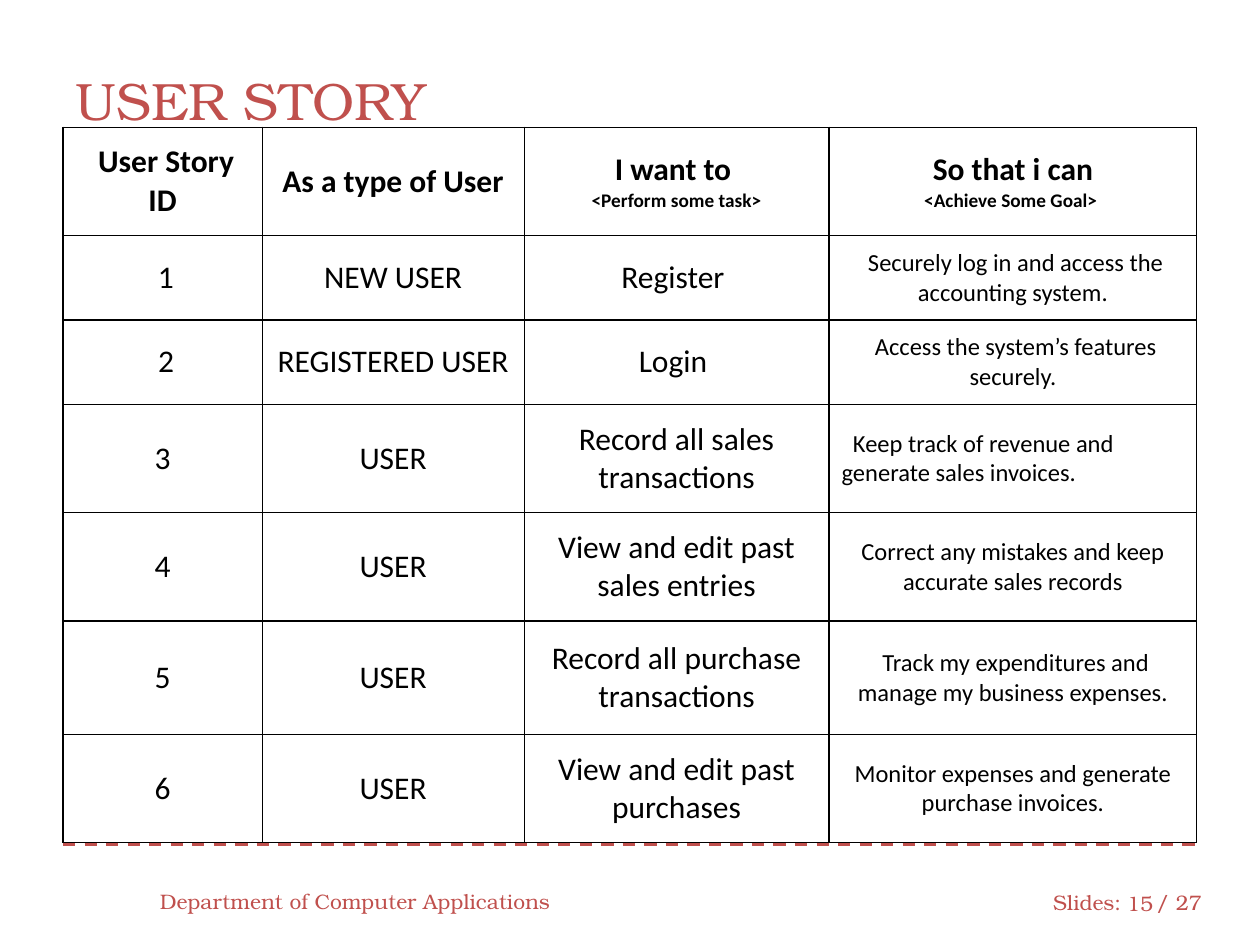
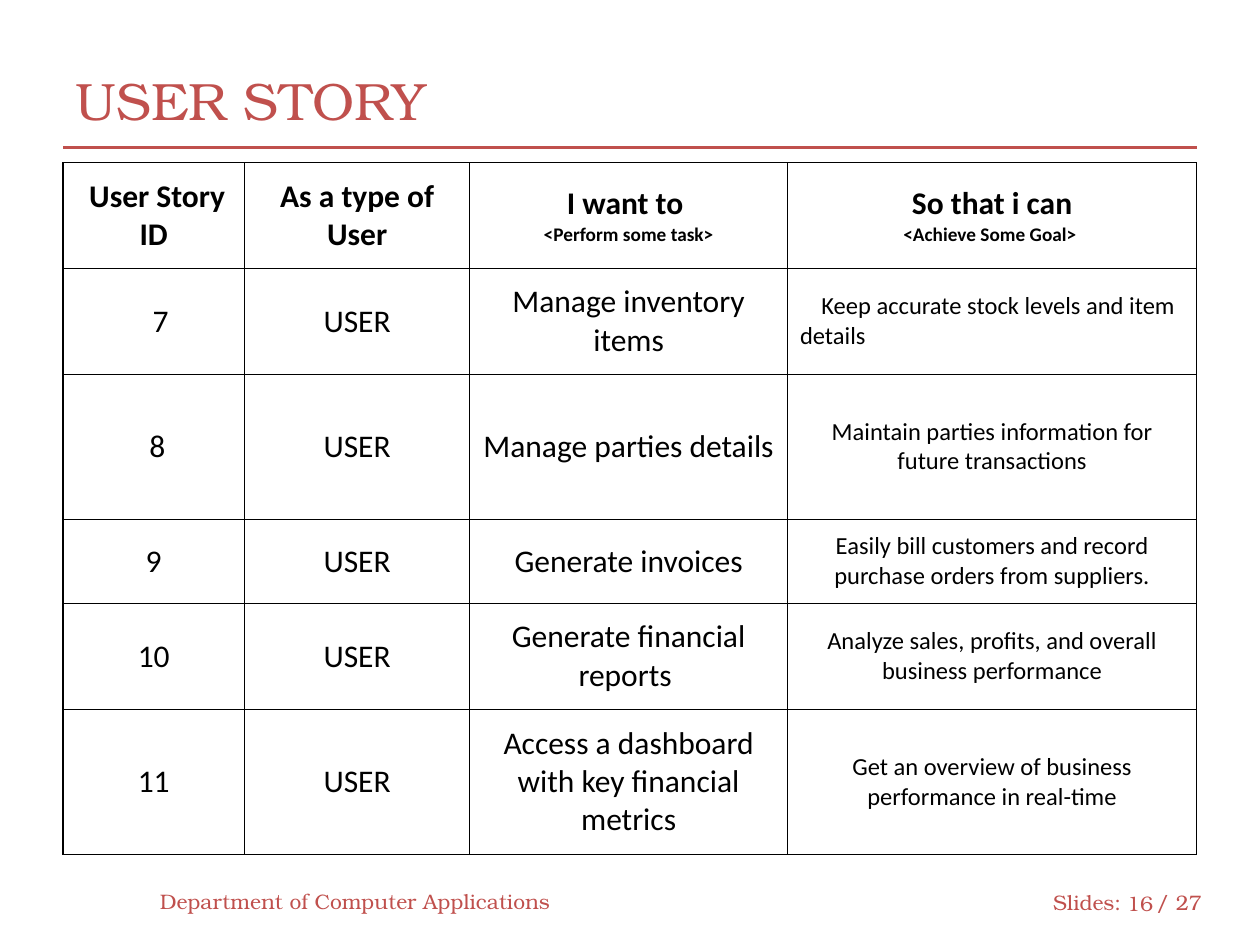
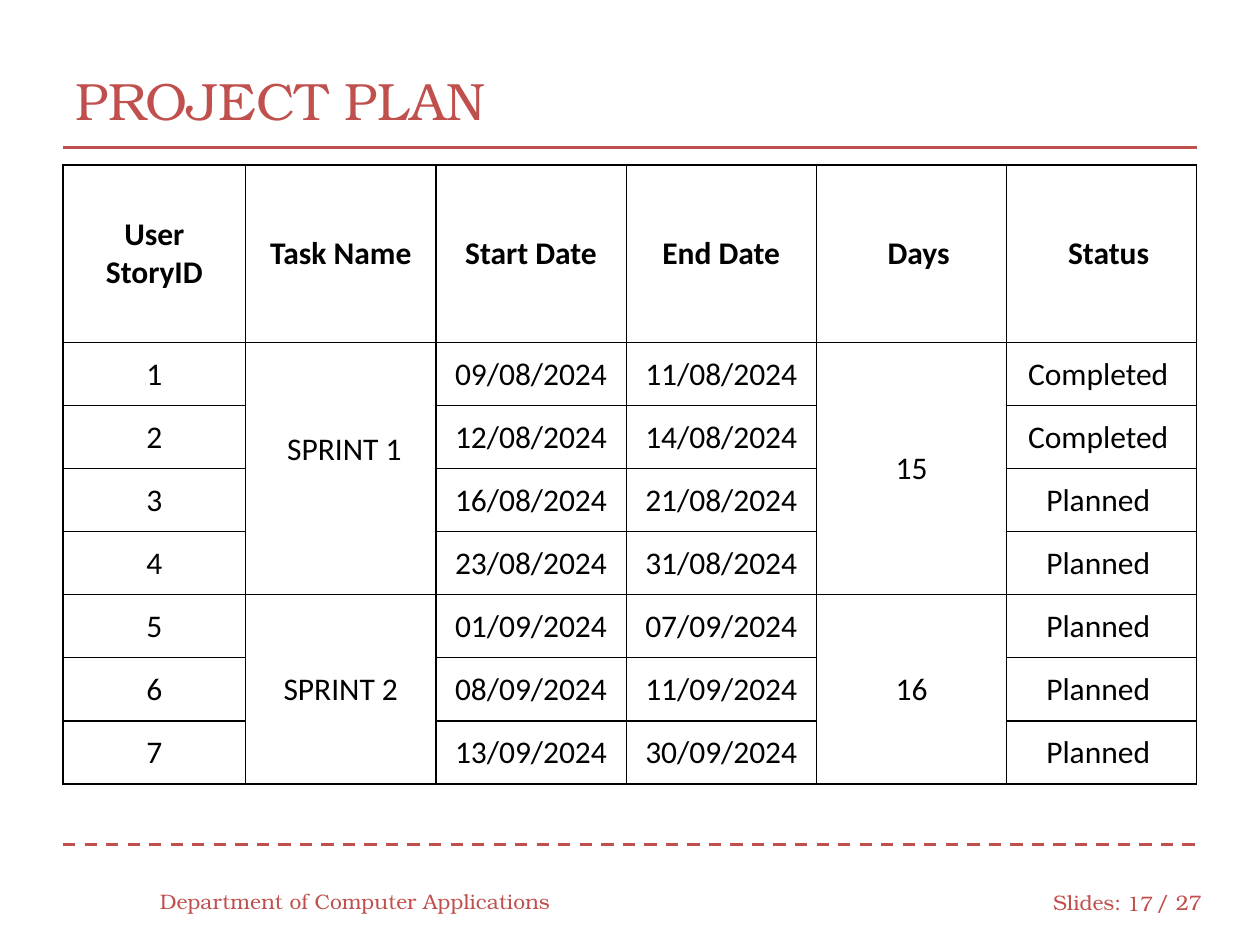
from lxml import etree
from pptx import Presentation
from pptx.dml.color import RGBColor
from pptx.enum.dml import MSO_LINE
from pptx.enum.shapes import MSO_CONNECTOR
from pptx.enum.text import MSO_ANCHOR, PP_ALIGN
from pptx.oxml.ns import qn
from pptx.util import Inches, Pt

STRAIGHT = MSO_CONNECTOR.STRAIGHT
DASH, SOLID = MSO_LINE.DASH, MSO_LINE.SOLID
MIDDLE = MSO_ANCHOR.MIDDLE
LEFT, CENTER, RIGHT = PP_ALIGN.LEFT, PP_ALIGN.CENTER, PP_ALIGN.RIGHT

COLORS = {"accent": "C0504D", "ink": "000000", "paper": "FFFFFF"}
SERIF, SANS = "TeX Gyre Bonum", "Calibri"
SLIDE_WIDTH, SLIDE_HEIGHT = Inches(10), Inches(7.5)
GRID_COLUMNS, GRID_ROWS = 10, 7.5
TITLE_ONLY = 5
FIRST_NUMBER = 15
MARGIN = 0.5
CELL_INSET = 0.1
BORDER_POINTS = 0.75

TITLE_FORMAT = {"name": SERIF, "size": Pt(30), "bold": False}
FOOTER_FORMAT = {"name": SERIF, "size": Pt(12), "bold": False}

STORY_HEADER = ["{} User Story ID".format(""), "As a type of User",
                "I want to \n<Perform some task>",
                "So that i can\n<Achieve Some Goal> "]
STORY_SIZES = [18, 18, 18, 14]

FIRST_STORIES = [
    STORY_HEADER,
    ["1 ", "NEW USER", "Register ",
     " Securely log in and access the accounting system."],
    [" 2", "REGISTERED USER", "Login ",
     " Access the system’s features securely."],
    ["3", "USER", "Record all sales transactions",
     "Keep track of revenue and generate sales invoices."],
    ["4", "USER", "View and edit past sales entries",
     "Correct any mistakes and keep accurate sales records"],
    ["5", "USER", "Record all purchase transactions",
     " Track my expenditures and manage my business expenses."],
    ["6", "USER", "View and edit past purchases",
     "Monitor expenses and generate purchase invoices."],
]

LAST_STORIES = [
    STORY_HEADER,
    ["7", "USER", "Manage inventory items",
     "Keep accurate stock levels and item details"],
    [" 8", "USER", "Manage parties details",
     "Maintain parties information for future transactions"],
    ["9", "USER", "Generate invoices",
     "Easily bill customers and record purchase orders from suppliers."],
    ["10", "USER", "Generate financial reports ",
     "Analyze sales, profits, and overall business performance"],
    ["11", "USER", "Access a dashboard with key financial metrics",
     "Get an overview of business performance in real-time"],
]

PLAN = [
    ["User\nStoryID", "Task Name", "Start Date", "End Date", "Days ", "Status"],
    ["1", " SPRINT 1", "09/08/2024", "11/08/2024", "15", "Completed "],
    ["2", None, "12/08/2024", "14/08/2024", None, "Completed "],
    ["3", None, "16/08/2024", "21/08/2024", None, "Planned "],
    ["4", None, "23/08/2024", "31/08/2024", None, "Planned "],
    ["5", "SPRINT 2", "01/09/2024", "07/09/2024", "16", "Planned "],
    ["6", None, "08/09/2024", "11/09/2024", None, "Planned "],
    ["7", None, "13/09/2024", "30/09/2024", None, "Planned "],
]


def across(columns):
    return round(SLIDE_WIDTH * columns / GRID_COLUMNS)


def down(rows):
    return round(SLIDE_HEIGHT * rows / GRID_ROWS)


def box(left, top, width, height):
    return across(left), down(top), across(width), down(height)


def set_values(target, values):
    for name, value in values.items():
        setattr(target, name, value)


def format_paragraph(paragraph, text, font_format, color, alignment):
    paragraph.alignment = alignment
    run = paragraph.add_run()
    run.text = text
    set_values(run.font, font_format)
    run.font.color.rgb = RGBColor.from_string(COLORS[color])


def add_label(slide, text, place, alignment=LEFT):
    label = slide.shapes.add_textbox(*box(*place))
    set_values(label.text_frame, {"word_wrap": True, "vertical_anchor": MIDDLE})
    format_paragraph(label.text_frame.paragraphs[0], text, FOOTER_FORMAT,
                     "accent", alignment)
    return label


def add_rule(slide, row, dash):
    rule = slide.shapes.add_connector(
        STRAIGHT, across(MARGIN), down(row),
        across(GRID_COLUMNS - MARGIN), down(row))
    set_values(rule.line, {"width": Pt(1.75), "dash_style": dash})
    rule.line.color.rgb = RGBColor.from_string(COLORS["accent"])
    etree.SubElement(rule.element.spPr, qn("a:effectLst"))
    return rule


def furnish_layout(layout, slide):
    for placeholder in list(layout.placeholders):
        if placeholder.placeholder_format.idx != 0:
            layout.shapes.element.remove(placeholder.element)
    shared = [
        add_label(slide, "Slides:", (8.26, 6.96, 0.75, 0.4)),
        add_label(slide, "/ 27", (9.08, 6.96, 0.58, 0.4)),
        add_rule(slide, 6.7, DASH),
        add_rule(slide, 1.17, SOLID),
    ]
    for shape in shared:
        layout.shapes.element.append(shape.element)


def add_title(slide, text):
    title = slide.shapes.title
    places = ("left", "top", "width", "height")
    set_values(title, dict(zip(places, box(MARGIN, 0.33, 9, 0.92))))
    title.text_frame.vertical_anchor = MIDDLE
    format_paragraph(title.text_frame.paragraphs[0], text, TITLE_FORMAT,
                     "accent", LEFT)


def add_footer(slide, number):
    add_label(slide, "Department of Computer Applications",
              (1.17, 6.95, 3.33, 0.4))
    add_label(slide, str(number), (8.83, 6.97, 0.42, 0.4), RIGHT)


def add_borders(cell):
    properties = cell._tc.get_or_add_tcPr()
    for side in ("a:lnL", "a:lnR", "a:lnT", "a:lnB"):
        line = etree.SubElement(properties, qn(side), w=str(Pt(BORDER_POINTS)))
        fill = etree.SubElement(line, qn("a:solidFill"))
        etree.SubElement(fill, qn("a:srgbClr"), val=COLORS["ink"])


def style_cell(cell):
    add_borders(cell)
    cell.fill.solid()
    cell.fill.fore_color.rgb = RGBColor.from_string(COLORS["paper"])
    set_values(cell, {"vertical_anchor": MIDDLE})
    set_values(cell, {f"margin_{side}": Inches(CELL_INSET)
                      for side in ("left", "right", "top", "bottom")})


def write_cell(cell, text, sizes, bold, alignment, indent):
    frame = cell.text_frame
    for index, (line, size) in enumerate(zip(text.split("\n"), sizes)):
        paragraph = frame.add_paragraph() if index else frame.paragraphs[0]
        font_format = {"name": SANS, "size": Pt(size), "bold": bold}
        format_paragraph(paragraph, line, font_format, "ink", alignment)
        if indent:
            paragraph._p.get_or_add_pPr().set("indent", str(Inches(indent)))


def add_grid(slide, rows, top, widths, heights, sizes, second_size,
             indents, left_cells=()):
    frame = slide.shapes.add_table(
        len(rows), len(widths),
        *box(MARGIN, top, sum(widths), sum(heights)))
    table = frame.table
    set_values(table, {"first_row": False, "horz_banding": False})
    for column, width in zip(table.columns, widths):
        column.width = across(width)
    for row, height in zip(table.rows, heights):
        row.height = down(height)
    for row_index, row in enumerate(rows):
        for column_index, text in enumerate(row):
            cell = table.cell(row_index, column_index)
            style_cell(cell)
            if text is None:
                continue
            position = (row_index, column_index)
            header = row_index == 0
            size = 18 if header else sizes[column_index]
            alignment = LEFT if position in left_cells else CENTER
            write_cell(cell, text, (size, second_size), header, alignment,
                       indents.get(position))
    return table


def add_first_stories(slide):
    add_grid(slide, FIRST_STORIES, 1.01, [1.58, 2.08, 2.42, 2.92],
             [0.86, 0.67, 0.67, 0.86, 0.86, 0.9, 0.86], STORY_SIZES, 11,
             {(1, 0): 0.11, (3, 3): 0.09}, [(3, 3)])


def add_last_stories(slide):
    add_grid(slide, LAST_STORIES, 1.29, [1.44, 1.79, 2.52, 3.25],
             [0.84, 0.84, 1.15, 0.67, 0.84, 1.15], STORY_SIZES, 11,
             {(1, 0): 0.11, (1, 3): 0.17}, [(1, 3)])


def add_plan(slide):
    table = add_grid(slide, PLAN, 1.31, [1.45] + [1.51] * 5,
                     [1.41] + [0.5] * 7, [18] * 6, 18,
                     {(0, 4): 0.17, (0, 5): 0.11})
    for column in (1, 4):
        for first, last in ((1, 4), (5, 7)):
            table.cell(first, column).merge(table.cell(last, column))
    table.cell(1, 1).margin_bottom = Inches(0.4)


def main():
    presentation = Presentation()
    set_values(presentation, {"slide_width": SLIDE_WIDTH,
                              "slide_height": SLIDE_HEIGHT})
    layout = presentation.slide_layouts[TITLE_ONLY]
    pages = [("USER STORY", add_first_stories),
             ("USER STORY", add_last_stories),
             ("PROJECT PLAN", add_plan)]
    for number, (title, add_content) in enumerate(pages, FIRST_NUMBER):
        slide = presentation.slides.add_slide(layout)
        if number == FIRST_NUMBER:
            furnish_layout(layout, slide)
        add_title(slide, title)
        add_footer(slide, number)
        add_content(slide)
    presentation.save("out.pptx")


if __name__ == "__main__":
    main()
